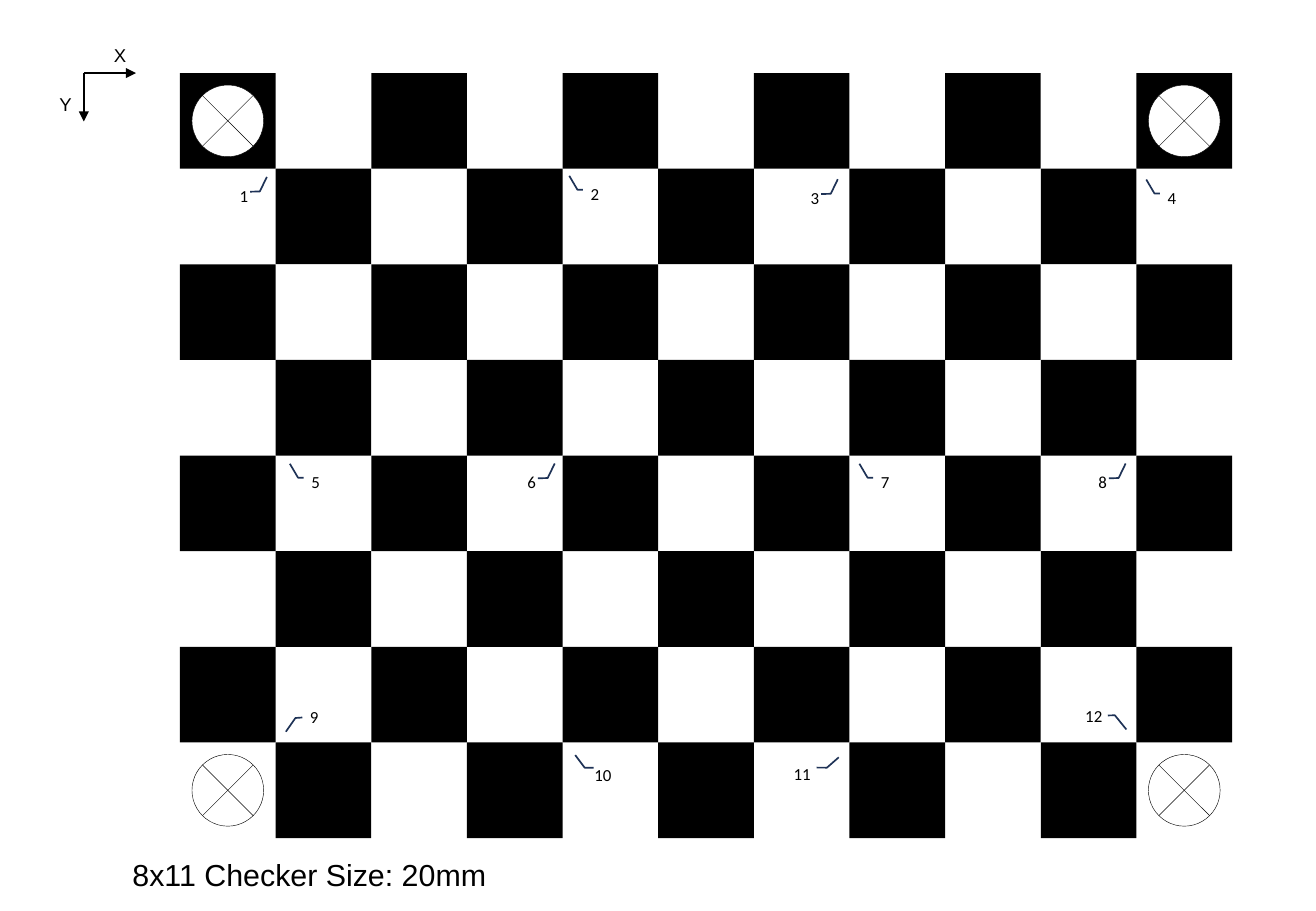
from lxml import etree
from pptx import Presentation
from pptx.dml.color import RGBColor
from pptx.enum.shapes import MSO_CONNECTOR, MSO_SHAPE
from pptx.enum.text import MSO_ANCHOR, MSO_AUTO_SIZE, PP_ALIGN
from pptx.oxml.ns import qn
from pptx.util import Pt

STRAIGHT = MSO_CONNECTOR.STRAIGHT
RECTANGLE = MSO_SHAPE.RECTANGLE
CROSSED_CIRCLE = MSO_SHAPE.FLOWCHART_SUMMING_JUNCTION
CALLOUT = MSO_SHAPE.LINE_CALLOUT_2_NO_BORDER
TOP, MIDDLE = MSO_ANCHOR.TOP, MSO_ANCHOR.MIDDLE
FIT_SHAPE = MSO_AUTO_SIZE.SHAPE_TO_FIT_TEXT
LEFT, CENTER = PP_ALIGN.LEFT, PP_ALIGN.CENTER

# Content
CAPTION = "8x11 Checker Size: 20mm"
COLORS = {"black": "000000", "white": "FFFFFF", "navy": "1E3256"}
ROWS, COLUMNS = 8, 11
SQUARE, RING = 56.69, 42.5
BOARD_LEFT, BOARD_TOP = 106.7, 43.3

ORIGIN = (49.7, 43.3)
AXES = [  # label, label left and top, arrow tip
    ("Y", (28.1, 51.8), (49.7, 72)),
    ("X", (60.5, 22.3), (80.6, 43.3)),
]

# Leader bends as fractions of the label box: y, x for each of three points
LEADERS = {
    "up right": (0.302, 0.936, 0.286, 1.377, -0.465, 1.699),
    "up left": (0.269, 0.101, 0.269, -0.152, -0.449, -0.525),
    "down left": (0.552, 0.108, 0.577, -0.208, 1.284, -0.643),
    "wide up right": (0.302, 0.807, 0.305, 1.023, -0.02, 1.274),
    "wide up left": (0.269, 0.306, 0.269, 0.115, -0.127, -0.088),
    "wide down right": (0.933, 1.191, 0.49, 0.947, 0.496, 0.797),
}
SMALL, WIDE = (13, 11.5), (28, 19)
CORNERS = [  # number, left, top, label size, leader
    ("1", 136.1, 110.2, SMALL, "up right"),
    ("2", 344.2, 109.4, SMALL, "up left"),
    ("3", 474.5, 111.6, SMALL, "up right"),
    ("4", 686.2, 111.6, SMALL, "up left"),
    ("5", 178.6, 280.1, SMALL, "up left"),
    ("6", 306.7, 280.1, SMALL, "up right"),
    ("7", 516.2, 280.1, SMALL, "up left"),
    ("8", 645.1, 280.1, SMALL, "up right"),
    ("9", 177.8, 419, SMALL, "down left"),
    ("10", 343.4, 450, WIDE, "wide up left"),
    ("11", 461.5, 449.3, WIDE, "wide up right"),
    ("12", 634.3, 414.7, WIDE, "wide down right"),
]


def color(name):
    return RGBColor.from_string(COLORS[name])


def place(box, left, top, width, height):
    box.left, box.top, box.width, box.height = map(Pt, (left, top, width, height))


def write(box, text, size, font, align, anchor):
    frame = box.text_frame
    frame.vertical_anchor = anchor
    para = frame.paragraphs[0]
    para.alignment = align
    span = para.add_run()
    span.text = text
    span.font.size = Pt(size)
    span.font.name = font
    span.font.color.rgb = color("black")


def add_shape(shapes, kind, left, top, width, height, fill=None, line=None, weight=1):
    shape = shapes.add_shape(kind, *map(Pt, (left, top, width, height)))
    shape.shadow.inherit = False
    if fill:
        shape.fill.solid()
        shape.fill.fore_color.rgb = color(fill)
    else:
        shape.fill.background()
    if line:
        shape.line.color.rgb = color(line)
        shape.line.width = Pt(weight)
    else:
        shape.line.fill.background()
    return shape


def add_axis(shapes, label, corner, tip):
    arrow = shapes.add_connector(STRAIGHT, *map(Pt, ORIGIN + tip))
    arrow.line.color.rgb = color("black")
    arrow.line.width = Pt(1)
    etree.SubElement(arrow.line._get_or_add_ln(), qn("a:tailEnd"), type="triangle")
    etree.SubElement(arrow._element.spPr, qn("a:effectLst"))
    box = shapes.add_textbox(*map(Pt, corner + (21.6, 20.9)))
    box.text_frame.word_wrap = True
    box.text_frame.auto_size = FIT_SHAPE
    write(box, label, 11, "Arial", LEFT, TOP)


def add_board(shapes):
    # One group for each pair of columns
    for first in range(0, COLUMNS, 2):
        group = shapes.add_group_shape()
        for column in range(first, min(first + 2, COLUMNS)):
            for row in range(column % 2, ROWS, 2):
                add_shape(group.shapes, RECTANGLE, BOARD_LEFT + column * SQUARE,
                          BOARD_TOP + row * SQUARE, SQUARE, SQUARE, "black")


def add_rings(shapes):
    inset = (SQUARE - RING) / 2
    for row in (0, ROWS - 1):
        for column in (0, COLUMNS - 1):
            add_shape(shapes, CROSSED_CIRCLE, BOARD_LEFT + column * SQUARE + inset,
                      BOARD_TOP + row * SQUARE + inset, RING, RING,
                      "white", "black", 0.25)


def add_corner(shapes, number, left, top, size, leader):
    label = add_shape(shapes, CALLOUT, left, top, *size, line="navy")
    for index, value in enumerate(LEADERS[leader]):
        label.adjustments[index] = value
    write(label, number, 10, "Calibri", CENTER, MIDDLE)


def main():
    deck = Presentation()
    deck.slide_width, deck.slide_height = Pt(780), Pt(540)
    page = deck.slides.add_slide(deck.slide_layouts[5])
    shapes = page.shapes

    # Caption
    caption = shapes.title
    place(caption, 71.3, 504, 226, 29)
    caption.text_frame.word_wrap = False
    caption.text_frame.auto_size = FIT_SHAPE
    write(caption, CAPTION, 18, "Arial", LEFT, TOP)

    # Axes, board, rings and numbered corners
    for axis in AXES:
        add_axis(shapes, *axis)
    add_board(shapes)
    add_rings(shapes)
    for corner in CORNERS:
        add_corner(shapes, *corner)

    deck.save("out.pptx")


if __name__ == "__main__":
    main()
